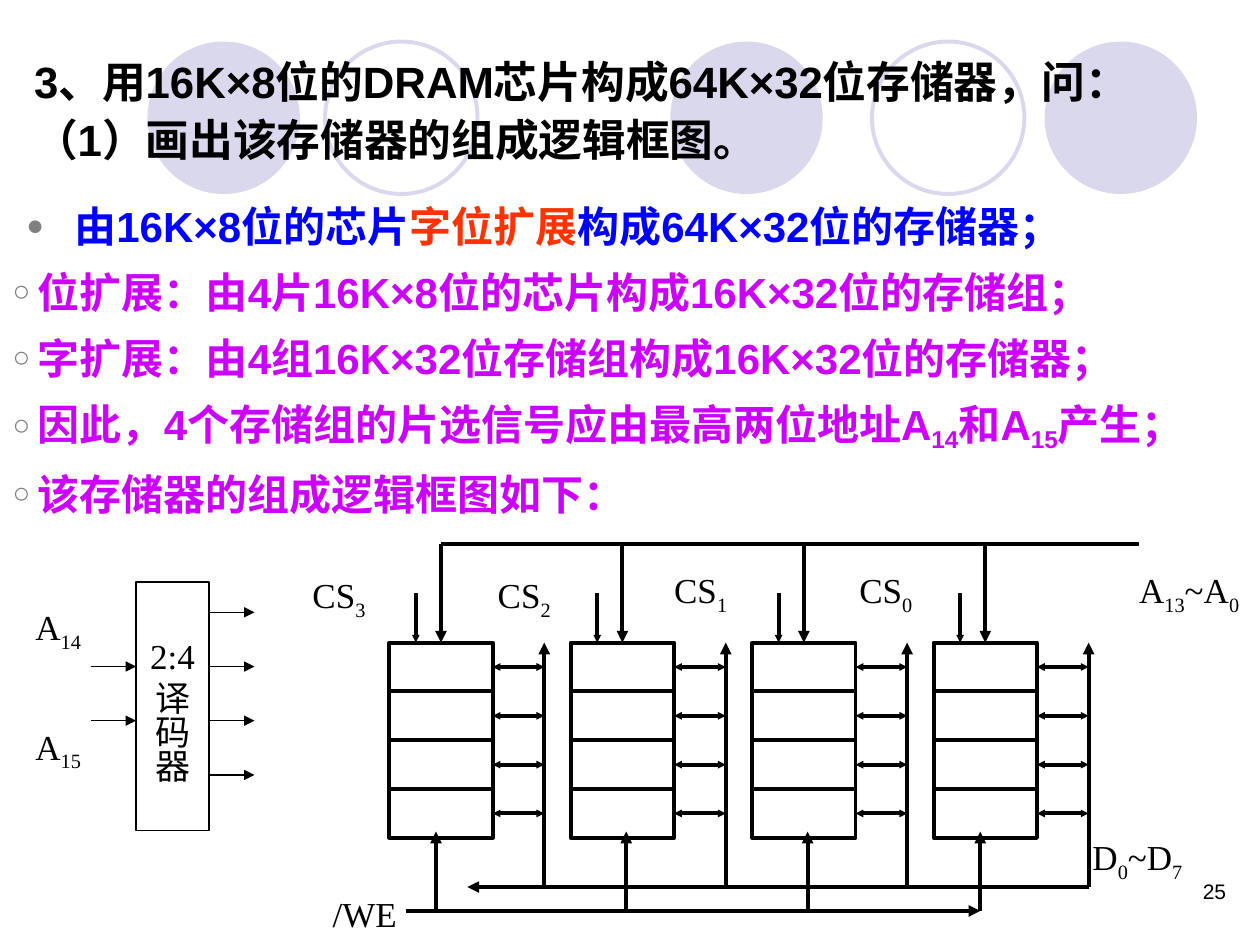
from lxml import etree
from pptx import Presentation
from pptx.dml.color import RGBColor
from pptx.enum.shapes import MSO_CONNECTOR, MSO_SHAPE
from pptx.enum.text import MSO_ANCHOR as ANCHOR, PP_ALIGN as ALIGN
from pptx.oxml.ns import qn
from pptx.util import Inches, Pt

W, H = 10, 7.5
SANS, SERIF = "Arial", "Times New Roman"
BLACK, LILAC, BLUE, RED, PURPLE = "000000", "D9D8EC", "0000FF", "FF3300", "CC00FF"
CHIP_W, CHIP_H, ROWS = 0.82, 1.55, 4
PITCH = 1.44
BUS_DX = 1.23  # from a chip group's left edge to its data bus


def rgb(hex_text):
    return RGBColor.from_string(hex_text)


def inches(*values):
    return [Inches(v) for v in values]


def add_run(p, text, size, font=SANS, color=BLACK, bold=False, base=0):
    r = p.add_run()
    r.text = text
    r.font.size, r.font.name, r.font.bold = Pt(size), font, bold
    r.font.color.rgb = rgb(color)
    if base:
        r._r.get_or_add_rPr().set("baseline", str(base * 1000))


def add_shape(s, kind, box, fill=None, line=None, width=2.25):
    sp = s.shapes.add_shape(kind, *inches(*box))
    sp.shadow.inherit = False
    if fill:
        sp.fill.solid()
        sp.fill.fore_color.rgb = rgb(fill)
    else:
        sp.fill.background()
    if line:
        sp.line.color.rgb = rgb(line)
        sp.line.width = Pt(width)
    else:
        sp.line.fill.background()
    return sp


def add_line(s, x1, y1, x2, y2, width=2.25, ends=("tailEnd",), head="med"):
    """Draw a line; ends names the ends with arrowheads, head their size."""
    c = s.shapes.add_connector(MSO_CONNECTOR.STRAIGHT, *inches(x1, y1, x2, y2))
    c.line.color.rgb = rgb(BLACK)
    c.line.width = Pt(width)
    ln = c.line._get_or_add_ln()
    for end in ends:
        etree.SubElement(ln, qn(f"a:{end}"), type="triangle", w=head, len=head)
    etree.SubElement(c._element.spPr, qn("a:effectLst"))


def add_label(s, x, y, width, parts):
    """Write a signal name; every second part is a subscript."""
    tf = s.shapes.add_textbox(*inches(x, y, width, 0.42)).text_frame
    tf.word_wrap = True
    tf.margin_left, tf.margin_top, tf.margin_right, tf.margin_bottom = inches(0, 0.07, 0, 0.05)
    p = tf.paragraphs[0]
    p.line_spacing = 0.8
    for i, part in enumerate(parts):
        add_run(p, part, 20, SERIF, base=-25 * (i % 2))


def add_circles(s):
    tree = s.shapes._spTree
    for i, (x, filled) in enumerate([(1.17, True), (2.58, False), (5.32, True),
                                     (6.92, False), (8.29, True)]):
        color = {"fill" if filled else "line": LILAC}
        sp = add_shape(s, MSO_SHAPE.OVAL, (x, 0.33, 1.21, 1.21), **color)
        tree.insert(2 + i, sp._element)


def fill_title(title, box):
    title.left, title.top, title.width, title.height = inches(*box)
    tf = title.text_frame
    tf.word_wrap = True
    tf.vertical_anchor = ANCHOR.MIDDLE
    p = tf.paragraphs[0]
    p.alignment, p.line_spacing = ALIGN.LEFT, 1.1
    add_run(p, "3、用16K×8位的DRAM芯片构成64K×32位存储器，问：", 25, bold=True)
    p.add_line_break()
    add_run(p, "（1）画出该存储器的组成逻辑框图。", 25, bold=True)


def set_bullet(p, char, margin, hang):
    pPr = p._p.get_or_add_pPr()
    pPr.set("marL", str(Inches(margin)))
    pPr.set("indent", str(-Inches(hang)))
    color = etree.SubElement(pPr, qn("a:buClr"))
    etree.SubElement(color, qn("a:srgbClr"), val="808080")
    etree.SubElement(pPr, qn("a:buSzPct"), val="70000")
    etree.SubElement(pPr, qn("a:buFont"), typeface=SANS)
    etree.SubElement(pPr, qn("a:buChar"), char=char)


def fill_body(body, box):
    body.left, body.top, body.width, body.height = inches(*box)
    tf = body.text_frame
    tf.word_wrap = True
    tf.vertical_anchor = ANCHOR.TOP
    items = [
        [("由16K×8位的芯片", BLUE), ("字位扩展", RED), ("构成64K×32位的存储器；", BLUE)],
        ["位扩展：由4片16K×8位的芯片构成16K×32位的存储组；"],
        ["字扩展：由4组16K×32位存储组构成16K×32位的存储器；"],
        ["因此，4个存储组的片选信号应由最高两位地址A", "14", "和A", "15", "产生；"],
        ["该存储器的组成逻辑框图如下："],
    ]
    for i, parts in enumerate(items):
        p = tf.add_paragraph() if i else tf.paragraphs[0]
        p.line_spacing = 1.1
        p.space_before, p.space_after = Pt(3 if i else 0), Pt(3)
        if i == 0:
            set_bullet(p, "●", 0.49, 0.38)
            for text, color in parts:
                add_run(p, text, 24, color=color, bold=True)
        else:
            p.level = 1
            set_bullet(p, "○", 0.2, 0.2)
            for j, text in enumerate(parts):
                add_run(p, text, 24, color=PURPLE, bold=True, base=-18 * (j % 2))


def add_decoder(s, x, y, width, height):
    sp = add_shape(s, MSO_SHAPE.RECTANGLE, (x, y, width, height), line=BLACK, width=0.75)
    tf = sp.text_frame
    tf.word_wrap = True
    tf.vertical_anchor = ANCHOR.TOP
    tf.margin_top = Inches(0.48)
    for i, text in enumerate(["2:4", "译码器"]):
        p = tf.add_paragraph() if i else tf.paragraphs[0]
        p.alignment, p.line_spacing = ALIGN.CENTER, 0.8
        p.space_before = Pt(5 * i)
        add_run(p, text, 20, SERIF)
    pins = [y + 0.24 + 0.43 * i for i in range(4)]
    for pin in pins:
        add_line(s, x + width, pin, x + width + 0.36, pin, 0.75)
    for pin in pins[1:3]:
        add_line(s, x - 0.36, pin, x, pin, 0.75)
    add_label(s, x - 0.8, y + 0.15, 0.58, ["A", "14"])
    add_label(s, x - 0.8, y + 1.1, 0.58, ["A", "15"])


def add_chip_group(s, x, y, we_dx):
    """Draw four stacked chips with select, address, data and write lines."""
    row = CHIP_H / ROWS
    right, bus = x + CHIP_W, x + BUS_DX
    add_shape(s, MSO_SHAPE.RECTANGLE, (x, y, CHIP_W, CHIP_H), line=BLACK)
    for i in range(ROWS):
        if i:
            add_line(s, x, y + i * row, right, y + i * row, ends=())
        mid = y + (i + 0.5) * row
        add_line(s, right, mid, bus, mid, ends=("headEnd", "tailEnd"), head="sm")
    add_line(s, x + 0.21, y - 0.39, x + 0.21, y, head="sm")
    add_line(s, x + 0.41, y - 0.78, x + 0.41, y)
    add_line(s, bus, y + 1.94, bus, y)
    add_line(s, x + we_dx, y + 2.13, x + we_dx, y + 1.5)


def add_memory(s, x, y):
    we_offsets = [0.37, 0.44, 0.44, 0.37]
    for i, we_dx in enumerate(we_offsets):
        add_chip_group(s, x + i * PITCH, y, we_dx)
    last = x + 3 * PITCH
    add_line(s, x + 0.41, y - 0.78, x + 5.95, y - 0.78, ends=())
    add_line(s, last + BUS_DX, y + 1.94, x + 0.62, y + 1.94)
    add_line(s, x + 0.13, y + 2.13, last + we_offsets[-1], y + 2.13)
    for n, dx, dy in [("3", -0.61, -0.58), ("2", 0.86, -0.58),
                      ("1", 2.26, -0.62), ("0", 3.73, -0.62)]:
        add_label(s, x + dx, y + dy, 0.58, ["CS", n])
    add_label(s, x + 5.95, y - 0.62, 0.96, ["A", "13", "~A", "0"])
    add_label(s, x + 5.58, y + 1.5, 0.82, ["D", "0", "~D", "7"])
    add_label(s, x - 0.45, y + 1.98, 0.82, ["/WE"])


def add_page_number(s, box):
    tf = s.shapes.add_textbox(*inches(*box)).text_frame
    tf.word_wrap = True
    p = tf.paragraphs[0]
    p.alignment = ALIGN.RIGHT
    add_run(p, "25", 12)


def main():
    prs = Presentation()
    prs.slide_width, prs.slide_height = inches(W, H)
    s = prs.slides.add_slide(prs.slide_layouts[1])
    add_circles(s)
    fill_title(s.shapes.title, (0.17, 0.38, 9.5, 0.95))
    fill_body(s.placeholders[1], (0, 1.5, W, 2.75))
    add_decoder(s, 1.08, 4.62, 0.58, 1.97)
    add_memory(s, 3.09, 5.1)
    add_page_number(s, (7.5, 6.92, 2.33, 0.5))
    prs.save("out.pptx")


if __name__ == "__main__":
    main()
